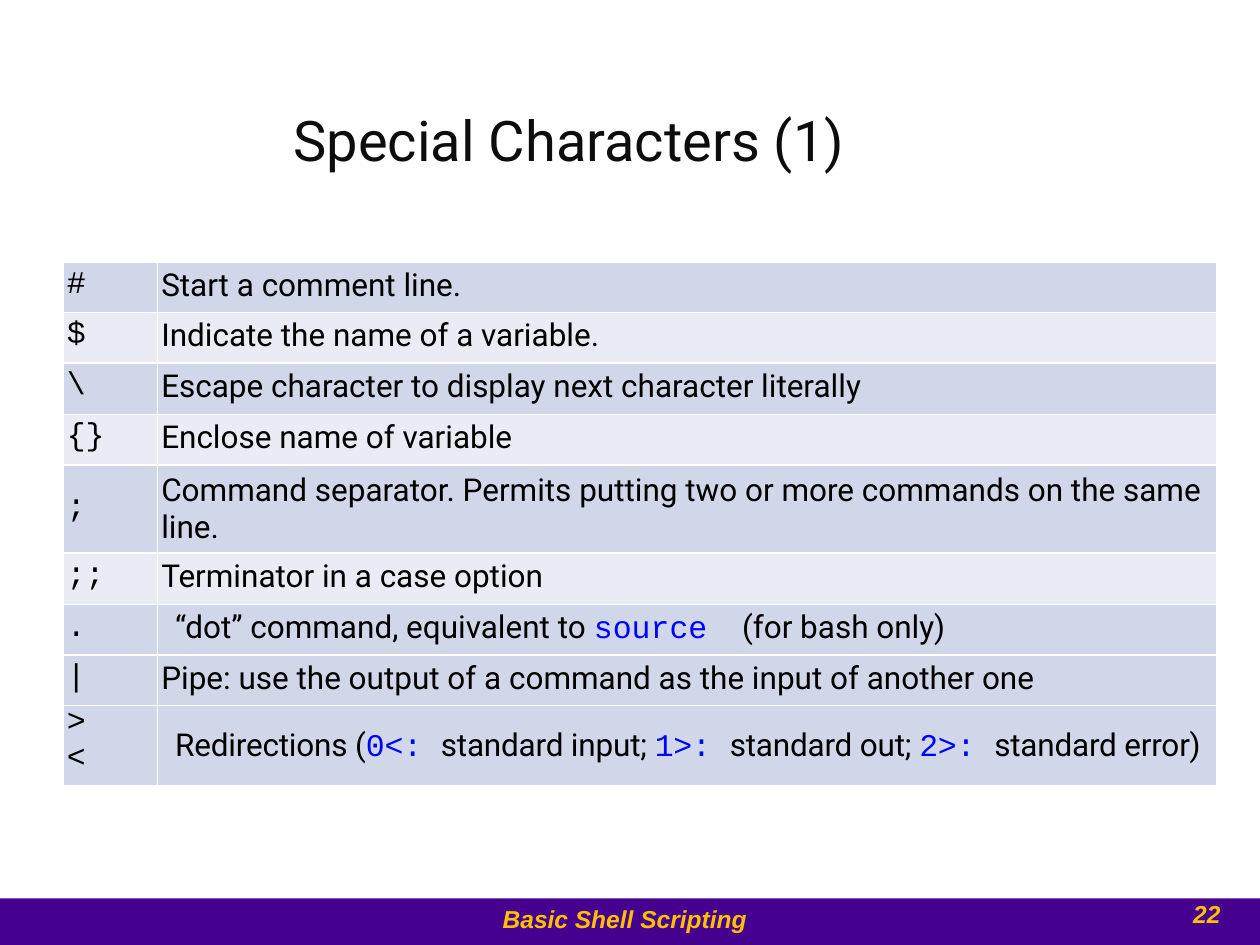
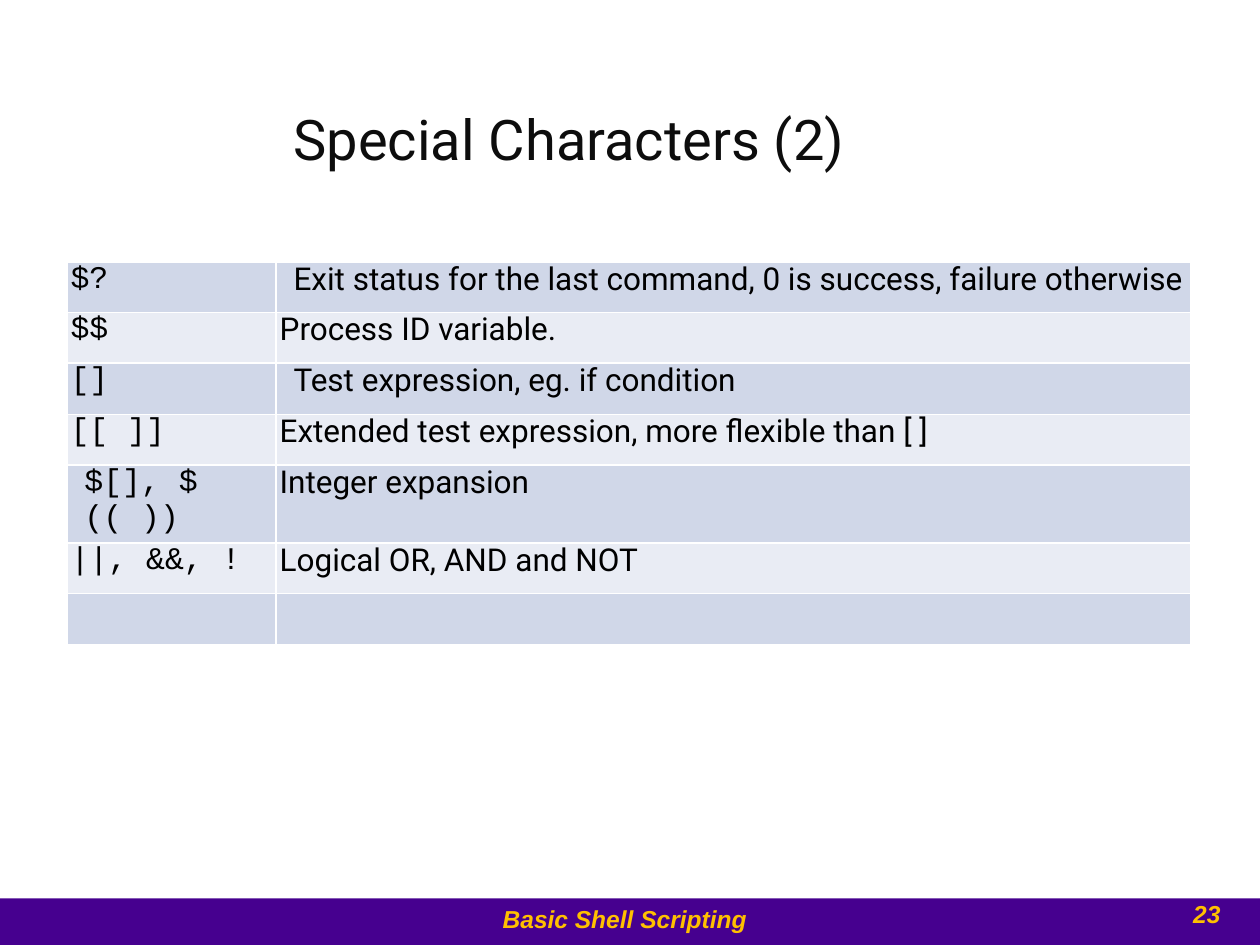
from dataclasses import dataclass

from lxml import etree
from pptx import Presentation
from pptx import util as u
from pptx.dml.color import RGBColor
from pptx.enum import shapes, text
from pptx.oxml.ns import qn

PURPLE, GOLD, WHITE = "46008F", "FFC000", "FFFFFF"
BLACK, INK, CODE_BLUE = "000000", "0D0D0D", "0000FF"
DARK_ROW, LIGHT_ROW = "D0D7E8", "E9ECF4"
BODY_FONT, CODE_FONT, FOOTER_FONT = "Roboto", "Courier New", "Arial"
INDENT, DEEP_INDENT = 0.03, 0.14
BAND_TOP = 7.13


@dataclass(frozen=True)
class Spacing:
    """Room above a cell's text: inset in inches, the rest in points."""
    inset: float = 0
    before: float = 0
    line: float | None = None


ROOMY = Spacing(0.04, 3)
SNUG = Spacing(0, 0.1)
EXACT = Spacing(line=20.7)


@dataclass(frozen=True)
class Entry:
    """A table row; backticks in the meaning enclose code."""
    symbol: str
    meaning: str
    height: float = 0.4
    symbol_spacing: Spacing = ROOMY
    meaning_spacing: Spacing = ROOMY
    symbol_indent: float = INDENT
    meaning_indent: float = INDENT
    tab: float | None = None
    tracking: int = 0
    dark: bool = False


@dataclass(frozen=True)
class Topic:
    title: str
    title_top: float
    number: int
    left: float
    columns: tuple[float, float]
    entries: list[Entry]


def snug(symbol: str, meaning: str, **options) -> Entry:
    return Entry(symbol, meaning, symbol_spacing=SNUG, meaning_spacing=EXACT, **options)


TOPICS = [
    Topic("Special Characters (1)", 0.83, 22, 0.5, (0.75, 8.41), [
        Entry("#", "Start a comment line."),
        Entry("$", "Indicate the name of a variable."),
        Entry("\\", "Escape character to display next character literally", 0.41),
        Entry("{}", "Enclose name of variable"),
        Entry(";", "Command separator. Permits putting two or more commands on the same  line.",
              0.7, Spacing(0.2, 14.1), Spacing(0.06, 4.3, 21)),
        Entry(";;", "Terminator in a case option", 0.41),
        Entry(".", "“dot” command, equivalent to `source\t`(for bash only)",
              meaning_indent=DEEP_INDENT, tab=4.5),
        Entry("|", "Pipe: use the output of a command as the input of another one", dark=True),
        Entry(">\n<", "Redirections (`0<: `standard input; `1>: `standard out; `2>: `standard error)",
              0.64, SNUG, Spacing(0.17, 12.1), meaning_indent=DEEP_INDENT, tracking=-10),
    ]),
    Topic("Special Characters (2)", 0.82, 23, 0.53, (1.66, 7.26), [
        snug("$?", "Exit status for the last command, 0 is success, failure otherwise",
             meaning_indent=DEEP_INDENT),
        snug("$$", "Process ID variable."),
        snug("[]", "Test expression, eg. if condition", height=0.41, meaning_indent=DEEP_INDENT),
        snug("[[ ]]", "Extended test expression, more flexible than [ ]"),
        snug("$[], $\n(( ))", "Integer expansion", height=0.62, symbol_indent=DEEP_INDENT),
        snug("||, &&, !", "Logical OR, AND and NOT"),
        snug("", "", height=0.41),
    ]),
]


def rgb(colour: str) -> RGBColor:
    return RGBColor.from_string(colour)


def style_font(font, name: str, size: float, colour: str, emphasis: bool = False) -> None:
    font.name, font.size = name, u.Pt(size)
    font.bold = font.italic = emphasis
    font.color.rgb = rgb(colour)


def clear_insets(frame, top: float = 0) -> None:
    frame.margin_left = frame.margin_right = frame.margin_bottom = 0
    frame.margin_top = u.Inches(top)


def indent(paragraph, left: float) -> None:
    properties = paragraph._p.get_or_add_pPr()
    properties.set("marL", str(u.Inches(left)))
    properties.set("indent", "0")


def add_band(slide, master) -> None:
    """Draw the footer band and hand it over to the master."""
    band = slide.shapes.add_shape(shapes.MSO_SHAPE.RECTANGLE, 0, u.Inches(BAND_TOP),
                                  u.Inches(10), u.Inches(7.5 - BAND_TOP))
    band.shadow.inherit = False
    band.fill.solid()
    band.fill.fore_color.rgb = rgb(PURPLE)
    band.line.fill.background()
    band.element.nvSpPr.cNvPr.set("id", "20")
    master.shapes.element.append(band.element)


def add_title(slide, topic: Topic) -> None:
    title = slide.shapes.title
    title.left, title.top = u.Inches(2.32), u.Inches(topic.title_top)
    title.width, title.height = u.Inches(4.45), u.Inches(0.56)
    frame = title.text_frame
    frame.text = topic.title
    clear_insets(frame, 0.01)
    frame.vertical_anchor = text.MSO_ANCHOR.TOP
    heading = frame.paragraphs[0]
    heading.alignment = text.PP_ALIGN.LEFT
    heading.space_before = u.Pt(1)
    indent(heading, 0.01)
    style_font(heading.runs[0].font, BODY_FONT, 32, INK)


def add_footer(slide, words: str, left: float, top: float, width: float, start: float) -> None:
    frame = slide.shapes.add_textbox(u.Inches(left), u.Inches(top),
                                     u.Inches(width), u.Inches(0.25)).text_frame
    frame.word_wrap = True
    clear_insets(frame)
    frame.text = words
    line = frame.paragraphs[0]
    line.line_spacing = u.Pt(16.4)
    indent(line, start)
    style_font(line.runs[0].font, FOOTER_FONT, 14, GOLD, emphasis=True)


def finish_cell(cell, colour: str) -> None:
    """Give a cell its white borders and its fill."""
    properties = cell._tc.get_or_add_tcPr()
    for side in ("a:lnL", "a:lnR", "a:lnT", "a:lnB"):
        border = etree.SubElement(properties, qn(side), w=str(u.Pt(1)))
        paint = etree.SubElement(border, qn("a:solidFill"))
        etree.SubElement(paint, qn("a:srgbClr"), val=WHITE)
    cell.fill.solid()
    cell.fill.fore_color.rgb = rgb(colour)


def place_paragraph(paragraph, spacing: Spacing, left: float) -> None:
    indent(paragraph, left)
    paragraph.space_before = u.Pt(spacing.before)
    if spacing.line:
        paragraph.line_spacing = u.Pt(spacing.line)


def write_symbol(cell, entry: Entry) -> None:
    clear_insets(cell, entry.symbol_spacing.inset)
    cell.text_frame.text = entry.symbol
    for paragraph in cell.text_frame.paragraphs:
        place_paragraph(paragraph, entry.symbol_spacing, entry.symbol_indent)
        for run in paragraph.runs:
            style_font(run.font, CODE_FONT, 18, BLACK)


def write_meaning(cell, entry: Entry) -> None:
    clear_insets(cell, entry.meaning_spacing.inset)
    paragraph = cell.text_frame.paragraphs[0]
    place_paragraph(paragraph, entry.meaning_spacing, entry.meaning_indent)
    if entry.tab:
        stops = etree.SubElement(paragraph._p.get_or_add_pPr(), qn("a:tabLst"))
        etree.SubElement(stops, qn("a:tab"), pos=str(u.Inches(entry.tab)), algn="l")
    for position, part in enumerate(entry.meaning.split("`")):
        if not part:
            continue
        run = paragraph.add_run()
        run.text = part
        is_code = position % 2 == 1
        style_font(run.font, CODE_FONT if is_code else BODY_FONT, 18,
                   CODE_BLUE if is_code else BLACK)
        if entry.tracking:
            run._r.get_or_add_rPr().set("spc", str(entry.tracking))


def add_character_table(slide, topic: Topic) -> None:
    height = sum(entry.height for entry in topic.entries)
    table = slide.shapes.add_table(len(topic.entries), 2, u.Inches(topic.left), u.Inches(2.08),
                                   u.Inches(sum(topic.columns)), u.Inches(height)).table
    table.first_row = table.horz_banding = False
    for column, width in zip(table.columns, topic.columns):
        column.width = u.Inches(width)
    for index, entry in enumerate(topic.entries):
        table.rows[index].height = u.Inches(entry.height)
        symbol, meaning = table.cell(index, 0), table.cell(index, 1)
        write_symbol(symbol, entry)
        write_meaning(meaning, entry)
        colour = DARK_ROW if entry.dark or index % 2 == 0 else LIGHT_ROW
        finish_cell(symbol, colour)
        finish_cell(meaning, colour)


def main() -> None:
    deck = Presentation()
    deck.slide_width, deck.slide_height = u.Inches(10), u.Inches(7.5)
    for topic in TOPICS:
        slide = deck.slides.add_slide(deck.slide_layouts.get_by_name("Title Only"))
        add_title(slide, topic)
        add_character_table(slide, topic)
        add_footer(slide, str(topic.number), 9.43, 7.14, 0.3, 0.04)
        add_footer(slide, "Basic Shell Scripting", 3.98, 7.18, 1.96, 0.01)
    add_band(deck.slides[0], deck.slide_master)
    deck.save("out.pptx")


if __name__ == "__main__":
    main()
